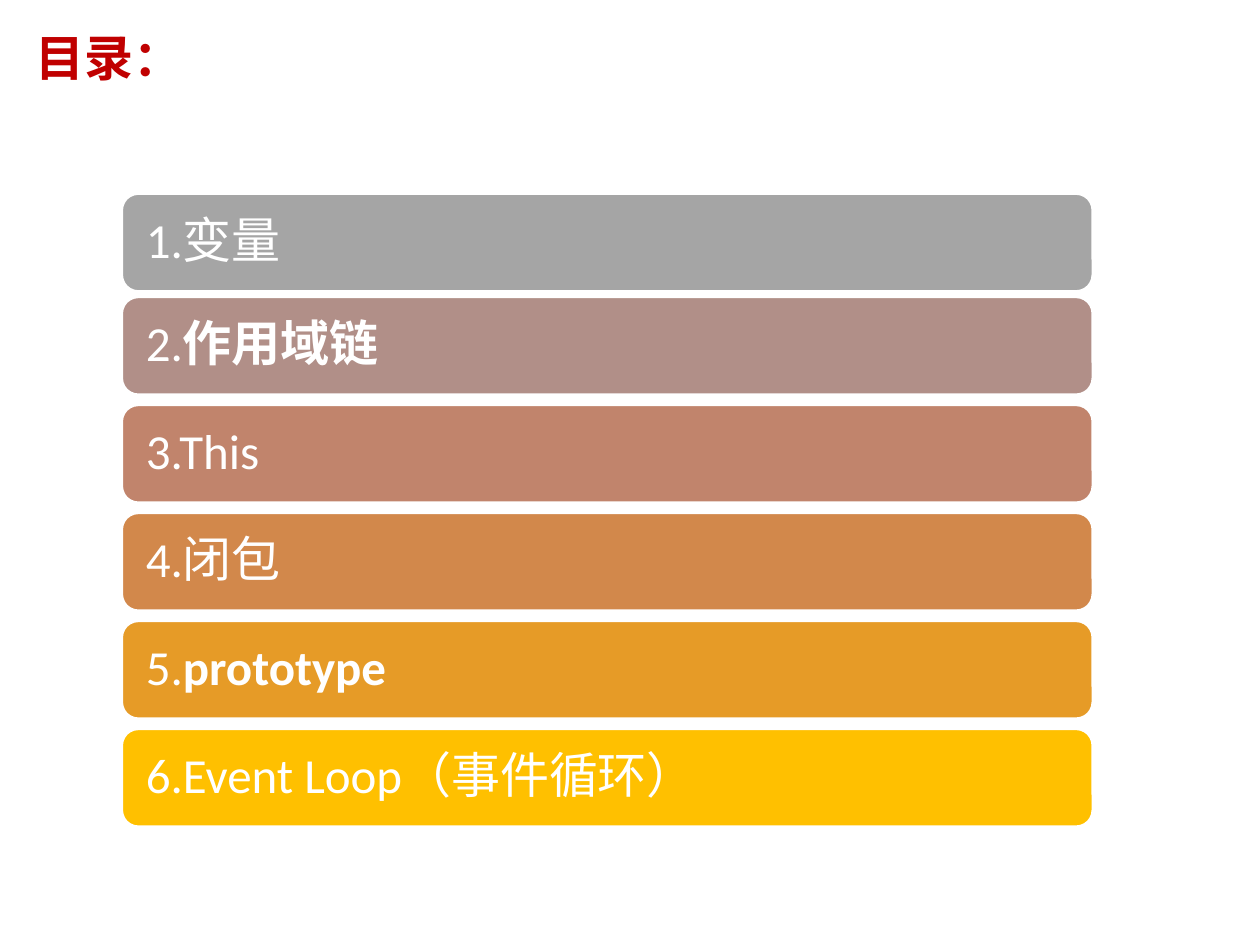
from lxml import etree
from pptx import Presentation
from pptx import util as u
from pptx.dml.color import RGBColor
from pptx.enum import shapes, text
from pptx.oxml.ns import qn

TITLE = "目录："
TOPICS = [
    ("gray", [("1.变量", False)]),
    ("mauve", [("2.", False), ("作用域链", True)]),
    ("clay", [("3.This", False)]),
    ("copper", [("4.闭包", False)]),
    ("amber", [("5.", False), ("prototype", True)]),
    ("gold", [("6.Event Loop（事件循环）", False)]),
]
COLORS = {
    "gray": "A5A5A5",
    "mauve": "B18F88",
    "clay": "C1846C",
    "copper": "D2884B",
    "amber": "E69B27",
    "gold": "FFC000",
    "white": "FFFFFF",
    "title": "C00000",
}
LATIN_FONT, CJK_FONT = "Calibri", "Noto Sans CJK SC"
LEFT, WIDTH, HEIGHT = 0.97, 7.7, 0.77
FIRST_TOP, SECOND_TOP, PITCH = 1.54, 2.36, 0.857


def color(name):
    return RGBColor.from_string(COLORS[name])


def add_run(paragraph, words, font_name, color_name, bold):
    run = paragraph.add_run()
    run.text = words
    run.font.name = font_name
    run.font.size = u.Pt(28)
    run.font.bold = bold
    run.font.color.rgb = color(color_name)
    east_asian = etree.SubElement(run.font._element, qn("a:ea"))
    east_asian.set("typeface", CJK_FONT)


def add_title(slide):
    title = slide.shapes.title
    title.left, title.top = u.Inches(0.18), u.Inches(0.17)
    title.width, title.height = u.Inches(1.38), u.Inches(0.57)
    frame = title.text_frame
    frame.word_wrap = False
    frame.auto_size = text.MSO_AUTO_SIZE.NONE
    frame.vertical_anchor = text.MSO_ANCHOR.TOP
    paragraph = frame.paragraphs[0]
    paragraph.alignment = text.PP_ALIGN.LEFT
    add_run(paragraph, TITLE, CJK_FONT, "title", True)


def add_topic(slide, top, fill, runs):
    bar = slide.shapes.add_shape(
        shapes.MSO_SHAPE.ROUNDED_RECTANGLE,
        u.Inches(LEFT), u.Inches(top), u.Inches(WIDTH), u.Inches(HEIGHT),
    )
    bar.shadow.inherit = False
    bar.fill.solid()
    bar.fill.fore_color.rgb = color(fill)
    bar.line.color.rgb = color("white")
    bar.line.width = u.Pt(1)
    frame = bar.text_frame
    frame.word_wrap = True
    frame.vertical_anchor = text.MSO_ANCHOR.MIDDLE
    frame.margin_left = frame.margin_right = u.Inches(0.15)
    paragraph = frame.paragraphs[0]
    paragraph.alignment = text.PP_ALIGN.LEFT
    paragraph.line_spacing = 0.9
    for words, bold in runs:
        add_run(paragraph, words, LATIN_FONT, "white", bold)


def main():
    presentation = Presentation()
    presentation.slide_width, presentation.slide_height = u.Inches(10), u.Inches(7.5)
    slide = presentation.slides.add_slide(presentation.slide_layouts[5])
    add_title(slide)
    for index, (fill, runs) in enumerate(TOPICS):
        top = SECOND_TOP + (index - 1) * PITCH if index else FIRST_TOP
        add_topic(slide, top, fill, runs)
    presentation.save("out.pptx")


if __name__ == "__main__":
    main()
